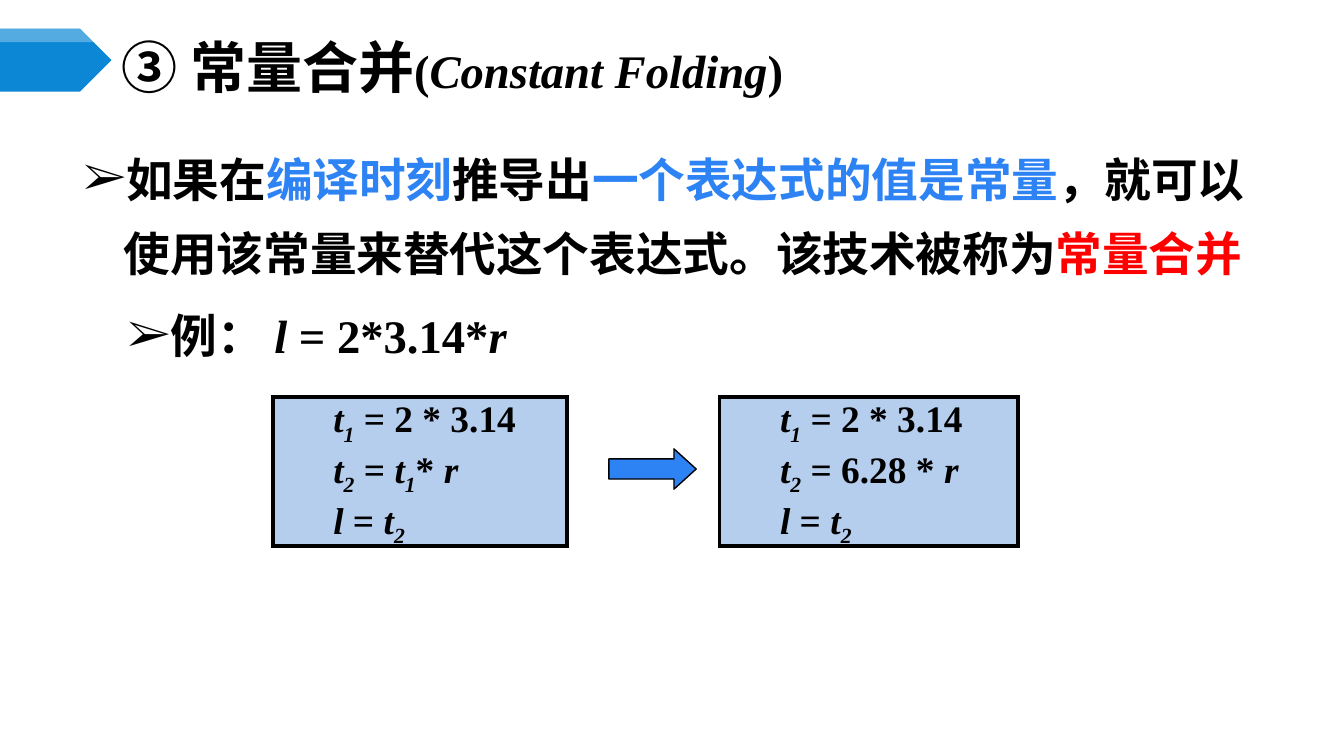
from lxml.etree import SubElement
from pptx import Presentation
from pptx.dml.color import RGBColor
from pptx.enum.shapes import MSO_SHAPE
from pptx.enum.text import MSO_ANCHOR, MSO_AUTO_SIZE, PP_ALIGN
from pptx.oxml.ns import qn
from pptx.util import Inches, Pt

BLACK = RGBColor(0x00, 0x00, 0x00)
WHITE = RGBColor(0xFF, 0xFF, 0xFF)
RED = RGBColor(0xFF, 0x00, 0x00)
BLUE = RGBColor(0x2D, 0x83, 0xF4)
BANNER_BLUE = RGBColor(0x0B, 0x87, 0xD6)
PALE_BLUE = RGBColor(0xB5, 0xCE, 0xED)
LATIN, CHINESE = "Times New Roman", "Noto Sans CJK SC"

deck = Presentation()
deck.slide_width = Inches(10)
deck.slide_height = deck.slide_width * 9 // 16
slide = deck.slides.add_slide(deck.slide_layouts[5])
CELL = deck.slide_width // 100  # square grid, 100 columns across the slide


def cells(*counts):
    return [round(count * CELL) for count in counts]


def write(paragraph, pieces, size):
    """Add bold runs; a piece is text, colour and marks (i italic, s subscript)."""
    for words, color, marks in pieces:
        run = paragraph.add_run()
        run.text = words
        font = run.font
        font.size, font.bold, font.italic = Pt(size), True, "i" in marks
        font.name = LATIN
        font.color.rgb = color
        properties = font._element
        SubElement(properties, qn("a:ea")).set("typeface", CHINESE)
        if "s" in marks:
            properties.set("baseline", "-25000")


# Banner arrow with a lighter strip along its top edge
banner = slide.shapes.add_shape(MSO_SHAPE.PENTAGON, *cells(0, 2.13, 8.3, 4.7))
outline = slide.shapes.build_freeform(*cells(0, 2.13))
outline.add_line_segments([cells(*point) for point in ((5.95, 2.13), (6.95, 3.13), (0, 3.13))])
strip = outline.convert_to_shape()
for part, color in ((banner, BANNER_BLUE), (strip, WHITE)):
    part.shadow.inherit = False
    part.fill.solid()
    part.fill.fore_color.rgb = color
    part.line.fill.background()
strip_color = strip.fill._xPr.find(qn("a:solidFill"))[0]
SubElement(strip_color, qn("a:alpha")).set("val", "30000")

# Title and explanation
title = slide.shapes.title
title.left, title.top, title.width, title.height = cells(8.33, 2.95, 86.7, 3.9)
explanation = slide.shapes.add_textbox(*cells(5.5, 9.4, 89, 35.3))
for block, anchor in ((title, MSO_ANCHOR.MIDDLE), (explanation, MSO_ANCHOR.TOP)):
    frame = block.text_frame
    frame.word_wrap, frame.auto_size = True, MSO_AUTO_SIZE.NONE
    frame.vertical_anchor = anchor
    frame.margin_left = frame.margin_right = Inches(0.07)
    frame.margin_top = frame.margin_bottom = Inches(0.04)

heading = title.text_frame.paragraphs[0]
heading.alignment = PP_ALIGN.LEFT
write(heading, [("③ 常量合并", BLACK, "")], 30)
heading.runs[0].font.name = CHINESE
write(heading, [(" (", BLACK, ""), ("Constant Folding", BLACK, "i"), (")", BLACK, "")], 25)

points = [
    (0.3, [("如果在", BLACK, ""), ("编译时刻", BLUE, ""), ("推导出", BLACK, ""),
           ("一个表达式的值是常量", BLUE, ""),
           ("，就可以使用该常量来替代这个表达式。该技术被称为", BLACK, ""),
           ("常量合并", RED, "")]),
    (0.63, [("例： ", BLACK, ""), ("l", BLACK, "i"), (" = 2*3.14*", BLACK, ""),
            ("r", BLACK, "i")]),
]
# The bracket follows the Chinese words directly
heading.runs[1].text = "("
for level, (indent, pieces) in enumerate(points):
    frame = explanation.text_frame
    point = frame.add_paragraph() if level else frame.paragraphs[0]
    point.level = level
    point.line_spacing = Pt(40)
    if level:
        point.space_before = Pt(4)
    properties = point._p.get_or_add_pPr()
    properties.set("marL", str(Inches(indent)))
    properties.set("indent", str(Inches(-0.3)))
    SubElement(properties, qn("a:buFont")).set("typeface", LATIN)
    SubElement(properties, qn("a:buChar")).set("char", "➢")
    write(point, pieces, 25)

# Three-address code before and after folding
first_line = [("t", "i"), ("1", "is"), (" = 2 * 3.14", "")]
last_line = [("l", "i"), (" = ", ""), ("t", "i"), ("2", "is")]
before = [("t", "i"), ("2", "is"), (" = ", ""), ("t", "i"), ("1", "is"), ("* ", ""), ("r", "i")]
after = [("t", "i"), ("2", "is"), (" = 6.28 * ", ""), ("r", "i")]
for left, width, middle_line in ((20.3, 21.9, before), (53.54, 22.2, after)):
    code = slide.shapes.add_shape(MSO_SHAPE.RECTANGLE, *cells(left, 29.55, width, 11.1))
    code.shadow.inherit = False
    code.fill.solid()
    code.fill.fore_color.rgb = PALE_BLUE
    code.line.color.rgb, code.line.width = BLACK, Pt(2)
    SubElement(code.line._ln, qn("a:miter")).set("lim", "800000")
    frame = code.text_frame
    frame.word_wrap, frame.vertical_anchor = True, MSO_ANCHOR.MIDDLE
    frame.margin_left = frame.margin_right = Inches(0.07)
    frame.margin_top = frame.margin_bottom = 0
    for row, pieces in enumerate((first_line, middle_line, last_line)):
        line = frame.add_paragraph() if row else frame.paragraphs[0]
        line.alignment = PP_ALIGN.LEFT
        line._p.get_or_add_pPr().set("marL", str(Inches(0.38)))
        write(line, [(words, BLACK, marks) for words, marks in pieces], 20)

folding = slide.shapes.add_shape(MSO_SHAPE.RIGHT_ARROW, *cells(45.3, 33.4, 6.5, 3))
folding.adjustments[0], folding.adjustments[1] = 0.5, 0.55
folding.shadow.inherit = False
folding.fill.solid()
folding.fill.fore_color.rgb = BLUE
folding.line.color.rgb, folding.line.width = BLACK, Pt(0.75)

deck.save("out.pptx")
